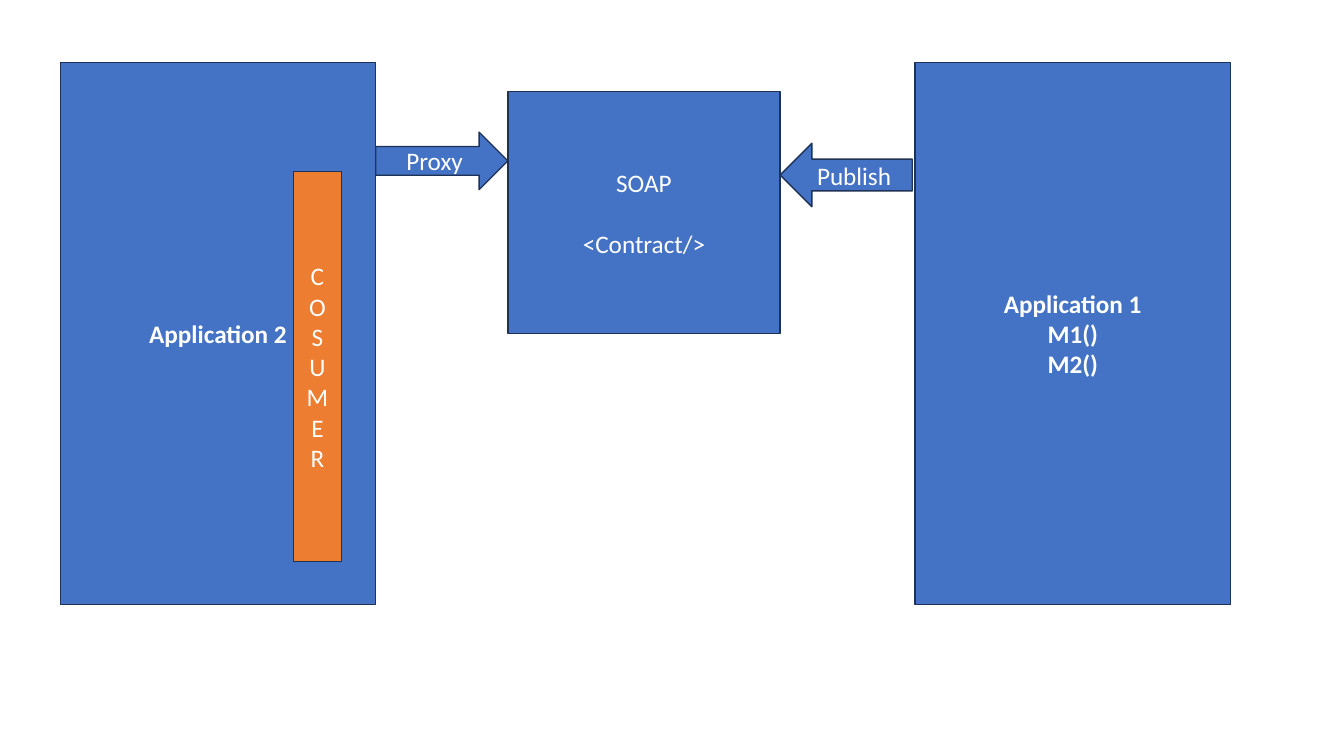
from dataclasses import dataclass
from pptx import Presentation
from pptx import util as u
from pptx.dml.color import RGBColor
from pptx.enum import shapes, text


@dataclass(frozen=True)
class Theme:
    blue: str = "4472C4"
    orange: str = "ED7D31"
    edge: str = "1E3256"
    ink: str = "FFFFFF"
    font: str = "Calibri"
    size: int = 18
    gap: int = 22


theme = Theme()
kinds = shapes.MSO_SHAPE

# Slide
deck = Presentation()
deck.slide_width, deck.slide_height = u.Cm(33.87), u.Cm(19.05)
slide = deck.slides.add_slide(deck.slide_layouts[6])


def add_box(kind, place, lines, fill=theme.blue, bold=False, gap=0):
    """Add a filled shape with centred lines, set apart by gap points."""
    box = slide.shapes.add_shape(kind, *[u.Cm(n) for n in place])
    box.shadow.inherit = False
    box.fill.solid()
    box.fill.fore_color.rgb = RGBColor.from_string(fill)
    box.line.color.rgb = RGBColor.from_string(theme.edge)
    box.line.width = u.Pt(1)
    frame = box.text_frame
    frame.word_wrap = True
    frame.vertical_anchor = text.MSO_ANCHOR.MIDDLE
    for i, line in enumerate(lines):
        para = frame.add_paragraph() if i else frame.paragraphs[0]
        para.alignment = text.PP_ALIGN.CENTER
        para.space_before = u.Pt(gap if i else 0)
        run = para.add_run()
        run.text = line
        run.font.name = theme.font
        run.font.size = u.Pt(theme.size)
        run.font.bold = bold
        run.font.color.rgb = RGBColor.from_string(theme.ink)


# Applications, equal in size and level
top, wide, high = 1.57, 7.95, 13.67
apps = [
    (23.06, ["Application 1", "M1()", "M2()"]),
    (1.52, ["Application 2"]),
]
for left, lines in apps:
    add_box(kinds.RECTANGLE, (left, top, wide, high), lines, bold=True)

# Contract between them
add_box(kinds.RECTANGLE, (12.8, 2.31, 6.86, 6.1), ["SOAP", "<Contract/>"],
        gap=theme.gap)

# Arrows into the contract
add_box(kinds.LEFT_ARROW, (19.66, 3.61, 3.33, 1.6), ["Publish"])
add_box(kinds.RIGHT_ARROW, (9.47, 3.33, 3.33, 1.45), ["Proxy"])

# Upright bar, one letter a line
add_box(kinds.RECTANGLE, (7.39, 4.32, 1.22, 9.83), "COSUMER",
        fill=theme.orange)

deck.save("out.pptx")
